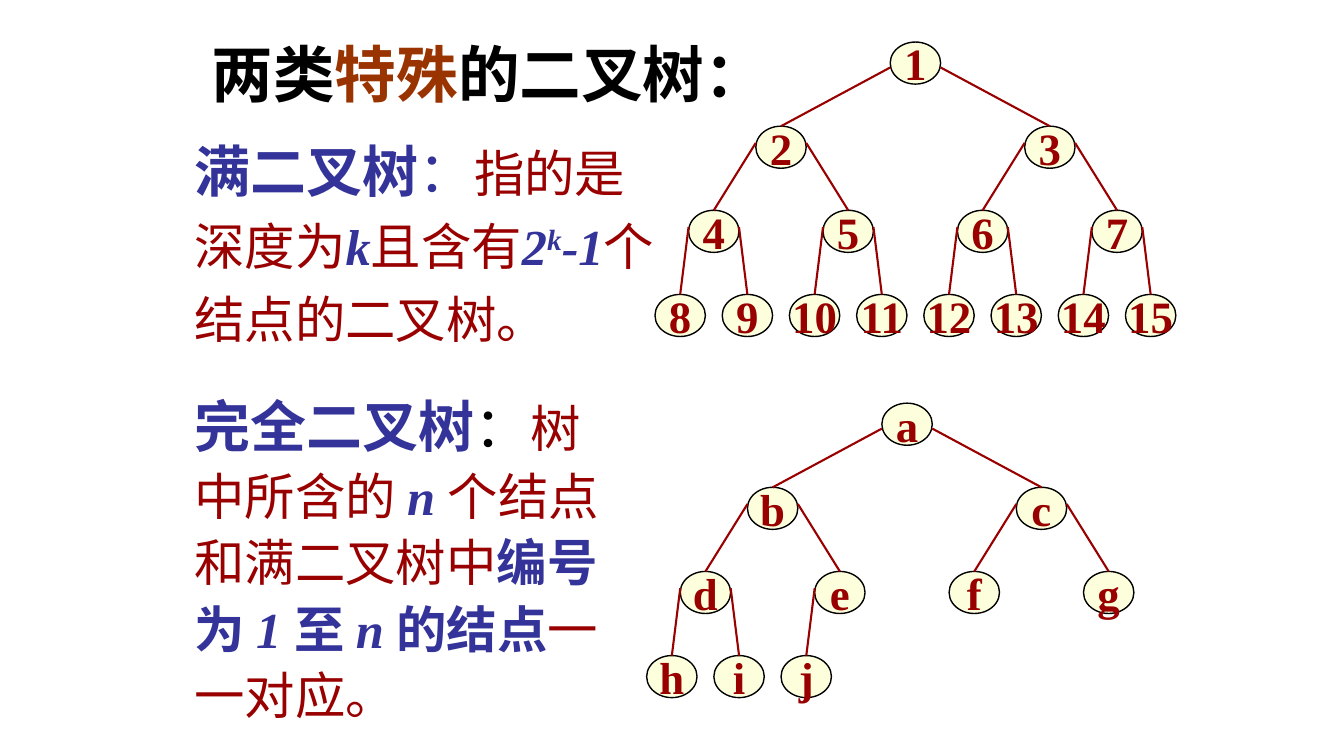
from pptx import Presentation
from pptx.dml.color import RGBColor
from pptx.enum import lang, shapes, text
from pptx.oxml.ns import qn
from pptx.util import Cm, Pt
from lxml import etree

FONT = "Times New Roman"
BLACK, BROWN, BLUE, RED, CREAM = "000000", "993300", "333399", "990000", "FCFEDC"
NODE_WIDTH, NODE_HEIGHT = 1.27, 1.06
LEVEL_STEP = 2.12
TREE_WIDTH = 13.55


def colour(value):
    return RGBColor.from_string(value)


def add_run(paragraph, content, size, fill, style=""):
    """Style letters: b bold, i italic, ^ superscript."""
    run = paragraph.add_run()
    run.text = content
    font = run.font
    font.name, font.size = FONT, Pt(size)
    font.bold, font.italic = "b" in style, "i" in style
    font.color.rgb = colour(fill)
    font.language_id = lang.MSO_LANGUAGE_ID.SIMPLIFIED_CHINESE
    if "^" in style:
        run._r.get_or_add_rPr().set("baseline", "30000")


def add_text(slide, left, top, width, height, runs, spacing=None, wrap=True):
    box = slide.shapes.add_textbox(Cm(left), Cm(top), Cm(width), Cm(height))
    frame = box.text_frame
    frame.word_wrap = wrap
    frame.auto_size = text.MSO_AUTO_SIZE.SHAPE_TO_FIT_TEXT
    paragraph = frame.paragraphs[0]
    paragraph.line_spacing = spacing
    for run in runs:
        add_run(paragraph, *run)


def add_node(group, centre, top, label):
    node = group.shapes.add_shape(
        shapes.MSO_SHAPE.OVAL, Cm(centre - NODE_WIDTH / 2), Cm(top),
        Cm(NODE_WIDTH), Cm(NODE_HEIGHT))
    node.shadow.inherit = False
    node.fill.solid()
    node.fill.fore_color.rgb = colour(CREAM)
    node.line.color.rgb = colour(BLACK)
    node.line.width = Pt(1)
    frame = node.text_frame
    frame.word_wrap = False
    frame.vertical_anchor = text.MSO_ANCHOR.MIDDLE
    paragraph = frame.paragraphs[0]
    paragraph.alignment = text.PP_ALIGN.CENTER
    add_run(paragraph, label, 32, RED, "b")
    return node


def add_branch(group, x, y, child):
    branch = group.shapes.add_connector(
        shapes.MSO_CONNECTOR.STRAIGHT, Cm(x), Cm(y), child.left, child.top)
    branch.end_connect(child, 0)
    branch.line.color.rgb = colour(RED)
    branch.line.width = Pt(1.5)
    etree.SubElement(branch._element.spPr, qn("a:effectLst"))


def add_tree(slide, root_centre, root_top, labels):
    """Draw labels in level order; node n has children 2n and 2n + 1."""
    group = slide.shapes.add_group_shape()
    places, nodes = {}, {}
    for number, label in enumerate(labels, 1):
        level = number.bit_length() - 1
        column = (number - 2 ** level + 0.5) / 2 ** level
        centre = root_centre + (column - 0.5) * TREE_WIDTH
        top = root_top + level * LEVEL_STEP
        places[number] = centre, top
        nodes[number] = add_node(group, centre, top, label)
    for number in range(2, len(labels) + 1):
        parent = number // 2
        centre, top = places[parent]
        side = 1 if number % 2 else -1
        drop = 0.64 if parent == 1 else 0.42
        add_branch(group, centre + side * NODE_WIDTH / 2, top + drop, nodes[number])


def main():
    presentation = Presentation()
    presentation.slide_width, presentation.slide_height = Cm(33.87), Cm(19.05)
    slide = presentation.slides.add_slide(presentation.slide_layouts[6])

    add_text(slide, 5.08, 0.79, 14.48, 2.11, [
        ("两类", 44, BLACK, "b"),
        ("特殊", 44, BROWN, "b"),
        ("的二叉树：", 44, BLACK, "b"),
    ], wrap=False)
    add_text(slide, 4.65, 2.97, 12.5, 5.94, [
        ("满二叉树", 40, BLUE, "b"),
        ("：", 40, BLUE),
        ("指的是深度为", 36, RED),
        ("k", 36, BLUE, "bi"),
        ("且含有", 36, RED),
        ("2", 36, BLUE, "bi"),
        ("k", 36, BLUE, "bi^"),
        ("-1", 36, BLUE, "bi"),
        ("个结点的二叉树。", 36, RED),
    ], spacing=1.2)
    add_text(slide, 4.65, 9.58, 11, 8.84, [
        ("完全二叉树", 40, BLUE, "b"),
        ("：", 40, BLACK),
        ("树中所含的 ", 36, RED),
        ("n ", 36, BLUE, "bi"),
        ("个结点和满二叉树中", 36, RED),
        ("编号为 ", 36, BLUE, "b"),
        ("1 ", 36, BLUE, "bi"),
        ("至 ", 36, BLUE, "b"),
        ("n ", 36, BLUE, "bi"),
        ("的结点", 36, BLUE, "b"),
        ("一一对应。", 36, RED),
    ], spacing=1.1)
    add_tree(slide, 23.07, 1.06, [str(number) for number in range(1, 16)])
    add_tree(slide, 22.86, 10.16, "abcdefghij")

    presentation.save("out.pptx")


if __name__ == "__main__":
    main()
